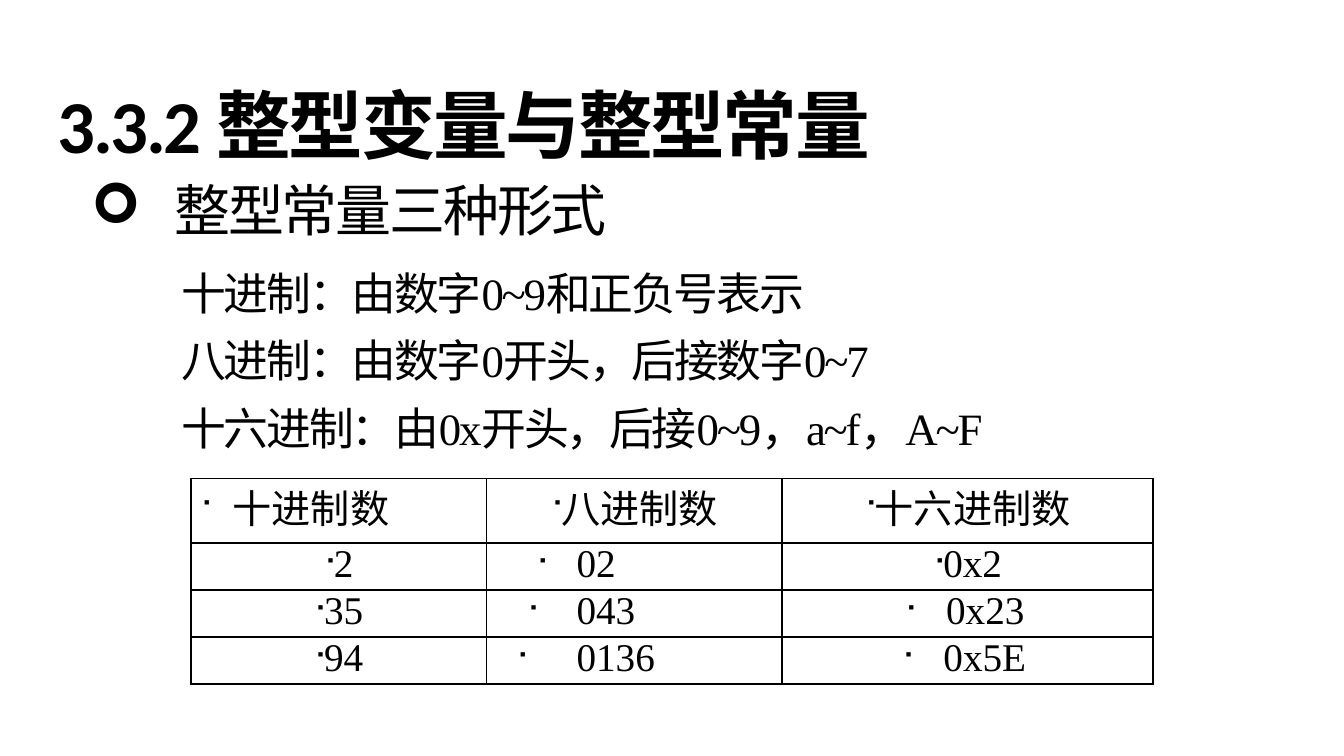
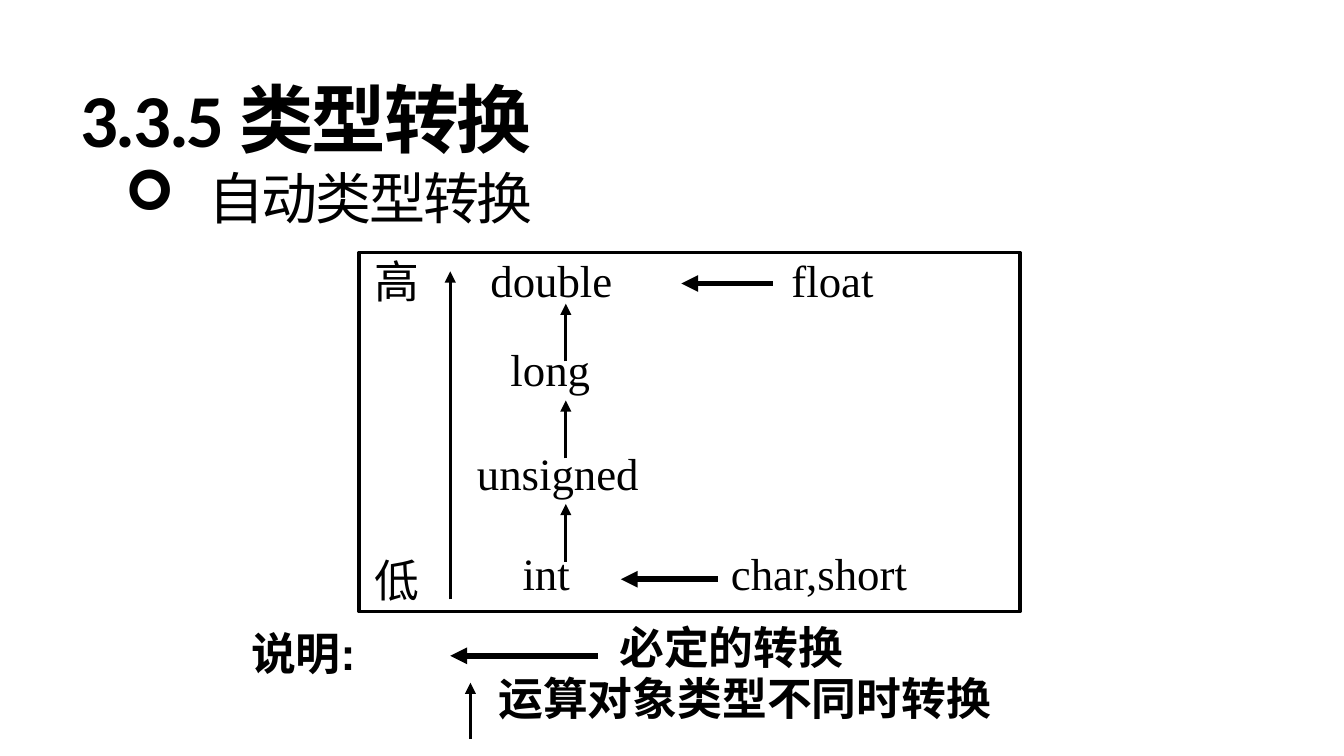
"""Build two slides on integer constants and automatic type conversion in C."""
from dataclasses import dataclass

from lxml import etree
from pptx import Presentation
from pptx.dml.color import RGBColor
from pptx.enum.shapes import MSO_CONNECTOR, MSO_SHAPE
from pptx.enum.text import MSO_ANCHOR, MSO_AUTO_SIZE, PP_ALIGN
from pptx.oxml.ns import qn
from pptx.util import Inches, Pt

STRAIGHT = MSO_CONNECTOR.STRAIGHT
RECTANGLE = MSO_SHAPE.RECTANGLE
TOP, MIDDLE = MSO_ANCHOR.TOP, MSO_ANCHOR.MIDDLE
GROW, FIXED = MSO_AUTO_SIZE.SHAPE_TO_FIT_TEXT, MSO_AUTO_SIZE.NONE
LEFT, CENTER = PP_ALIGN.LEFT, PP_ALIGN.CENTER


@dataclass(frozen=True)
class Theme:
    ink: str = "000000"
    paper: str = "FFFFFF"
    heading_font: str = "Calibri"
    body_font: str = "Times New Roman"
    legend_font: str = "Arial"
    bullet_font: str = "Wingdings"
    title_size: int = 40
    topic_size: int = 30
    body_size: int = 24
    table_size: int = 21
    tight: float = -1.2
    thin: float = 1.5
    thick: float = 3
    frame: float = 2
    border: float = 1


THEME = Theme()

FORMS = [
    "十进制：由数字0~9和正负号表示",
    "八进制：由数字0开头，后接数字0~7",
    "十六进制：由0x开头，后接0~9，a~f，A~F",
]
COLUMN_WIDTHS = [2.2, 2.2, 2.76]
ROW_HEIGHTS = [0.48, 0.35, 0.35, 0.35]
NUMBERS = [
    ["十进制数", "八进制数", "十六进制数"],
    ["2", "02", "0x2"],
    ["35", "043", "0x23"],
    ["94", "0136", "0x5E"],
]
HANGING_CELLS = {
    "十进制数": (0.24, 0.24),
    "02": (0.6, 0.3),
    "043": (0.6, 0.37),
    "0136": (0.6, 0.45),
    "0x23": (1.15, 0.31),
    "0x5E": (1.13, 0.31),
}

DIAGRAM_FRAME = (2.67, 1.88, 4.92, 2.67)
OPEN_LABELS = [
    ("double", 3.55, 1.83, 1.12),
    ("float", 5.79, 1.83, 0.82),
    ("高", 2.69, 1.84, 0.54),
    ("低", 2.69, 4.06, 0.54),
]
FILLED_LABELS = [
    ("long", 3.7, 2.49, 0.8),
    ("unsigned", 3.45, 3.27, 1.42),
    ("int", 3.79, 4.01, 0.56),
    ("char,short", 5.34, 4.01, 1.52),
]
LEGEND = [
    ("说明:", 1.77, 4.61, 1.42),
    ("必定的转换", 4.51, 4.56, 1.89),
    ("运算对象类型不同时转换", 3.61, 4.94, 3.92),
]
LABEL_HEIGHT = 0.51
RANK_X, RANK_STARTS, RANK_STEP = 4.21, [2.69, 3.41, 4.18], 0.43
THIN_ARROWS = [((RANK_X, y), (RANK_X, y - RANK_STEP)) for y in RANK_STARTS] + [
    ((3.35, 4.46), (3.35, 2.02)),
    ((3.5, 5.5), (3.5, 5.08)),
]
THICK_ARROWS = [
    ((5.75, 2.11), (5.07, 2.11)),
    ((5.34, 4.31), (4.62, 4.31)),
    ((4.45, 4.88), (3.35, 4.88)),
]


def color(value):
    return RGBColor.from_string(value)


def add_bullet(paragraph, character, percent, margin, hanging):
    properties = paragraph._p.get_or_add_pPr()
    properties.set("marL", str(Inches(margin)))
    properties.set("indent", str(-Inches(hanging)))
    tint = etree.SubElement(properties, qn("a:buClr"))
    etree.SubElement(tint, qn("a:srgbClr"), val=THEME.ink)
    etree.SubElement(properties, qn("a:buSzPct"), val=str(percent * 1000))
    etree.SubElement(properties, qn("a:buFont"), typeface=THEME.bullet_font)
    etree.SubElement(properties, qn("a:buChar"), char=character)


def write(frame, text, font=THEME.body_font, size=THEME.body_size, bold=False,
          spacing=None, line_spacing=None, align=LEFT, bullet=None):
    for index, line in enumerate(text.split("\n")):
        paragraph = frame.add_paragraph() if index else frame.paragraphs[0]
        paragraph.alignment = align
        if bullet:
            add_bullet(paragraph, *bullet)
        if line_spacing:
            paragraph.line_spacing = line_spacing
        run = paragraph.add_run()
        run.text = line
        run.font.name, run.font.size, run.font.bold = font, Pt(size), bold
        run.font.color.rgb = color(THEME.ink)
        if spacing:
            run._r.get_or_add_rPr().set("spc", str(round(spacing * 100)))


def add_box(slide, text, box, filled=False, wrap=False, anchor=TOP, size_mode=GROW, **style):
    place = [Inches(value) for value in box]
    if filled:
        shape = slide.shapes.add_shape(RECTANGLE, *place)
        shape.shadow.inherit = False
        shape.fill.solid()
        shape.fill.fore_color.rgb = color(THEME.paper)
        shape.line.fill.background()
    else:
        shape = slide.shapes.add_textbox(*place)
    frame = shape.text_frame
    frame.word_wrap, frame.auto_size, frame.vertical_anchor = wrap, size_mode, anchor
    write(frame, text, **style)


def add_heading(slide, title, title_place, topic, topic_box):
    shared = dict(wrap=True, anchor=MIDDLE, size_mode=FIXED, font=THEME.heading_font,
                  spacing=THEME.tight, line_spacing=0.9)
    add_box(slide, title, (*title_place, 8.84, 0.81), size=THEME.title_size,
            bold=True, **shared)
    add_box(slide, topic, topic_box, size=THEME.topic_size,
            bullet=("➢", 100, 0.62, 0.62), **shared)


def add_arrow(slide, start, end, width):
    points = [Inches(value) for value in (*start, *end)]
    connector = slide.shapes.add_connector(STRAIGHT, *points)
    connector.line.color.rgb = color(THEME.ink)
    connector.line.width = Pt(width)
    etree.SubElement(connector.line._get_or_add_ln(), qn("a:tailEnd"), type="triangle")
    etree.SubElement(connector._element.spPr, qn("a:effectLst"))


def set_borders(cell):
    properties = cell._tc.get_or_add_tcPr()
    for index, side in enumerate(("lnL", "lnR", "lnT", "lnB")):
        border = etree.Element(qn(f"a:{side}"), w=str(Pt(THEME.border)))
        fill = etree.SubElement(border, qn("a:solidFill"))
        etree.SubElement(fill, qn("a:srgbClr"), val=THEME.ink)
        properties.insert(index, border)


def add_number_table(slide):
    box = (1.42, 3.56, sum(COLUMN_WIDTHS), sum(ROW_HEIGHTS))
    table = slide.shapes.add_table(len(NUMBERS), len(NUMBERS[0]),
                                   *[Inches(value) for value in box]).table
    table.first_row = table.horz_banding = False
    for column, width in zip(table.columns, COLUMN_WIDTHS):
        column.width = Inches(width)
    for row, height, texts in zip(table.rows, ROW_HEIGHTS, NUMBERS):
        row.height = Inches(height)
        for cell, text in zip(row.cells, texts):
            cell.margin_left = cell.margin_right = Inches(0.07)
            cell.margin_top = cell.margin_bottom = 0
            cell.fill.background()
            set_borders(cell)
            margin, hanging = HANGING_CELLS.get(text, (0, 0))
            write(cell.text_frame, text, size=THEME.table_size,
                  align=LEFT if margin else CENTER,
                  bullet=("■", 75, margin, hanging))


def build_constants(slide):
    add_heading(slide, "3.3.2 整型变量与整型常量", (0.33, 0.56),
                "整型常量三种形式", (0.58, 1.37, 6.17, 0.44))
    add_number_table(slide)
    add_box(slide, "\n".join(FORMS), (1.25, 1.83, 8.42, 1.56), wrap=True,
            spacing=THEME.tight, line_spacing=1.25)


def build_conversion(slide):
    add_heading(slide, "3.3.5 类型转换", (0.5, 0.51),
                "自动类型转换", (0.83, 1.12, 5.75, 0.75))
    frame = slide.shapes.add_shape(RECTANGLE, *[Inches(value) for value in DIAGRAM_FRAME])
    frame.shadow.inherit = False
    frame.fill.solid()
    frame.fill.fore_color.rgb = color(THEME.paper)
    frame.line.color.rgb = color(THEME.ink)
    frame.line.width = Pt(THEME.frame)
    for labels, filled in ((OPEN_LABELS, False), (FILLED_LABELS, True)):
        for text, left, top, width in labels:
            add_box(slide, text, (left, top, width, LABEL_HEIGHT), filled=filled)
    for text, left, top, width in LEGEND:
        add_box(slide, text, (left, top, width, LABEL_HEIGHT),
                font=THEME.legend_font, bold=True)
    for arrows, width in ((THIN_ARROWS, THEME.thin), (THICK_ARROWS, THEME.thick)):
        for start, end in arrows:
            add_arrow(slide, start, end, width)


def main():
    presentation = Presentation()
    presentation.slide_width = Inches(10)
    presentation.slide_height = presentation.slide_width * 9 // 16
    for build in (build_constants, build_conversion):
        build(presentation.slides.add_slide(presentation.slide_layouts[6]))
    presentation.save("out.pptx")


if __name__ == "__main__":
    main()
